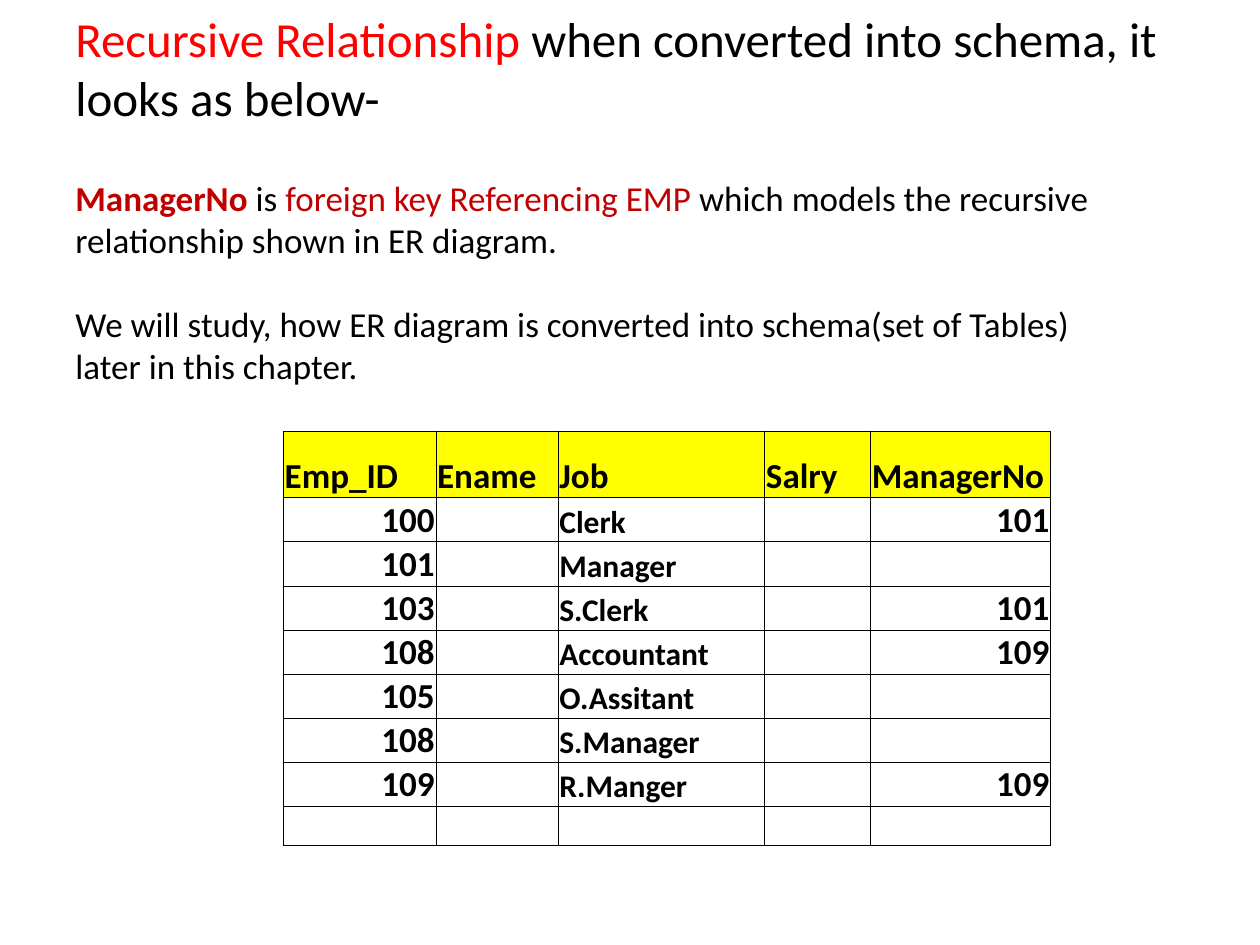
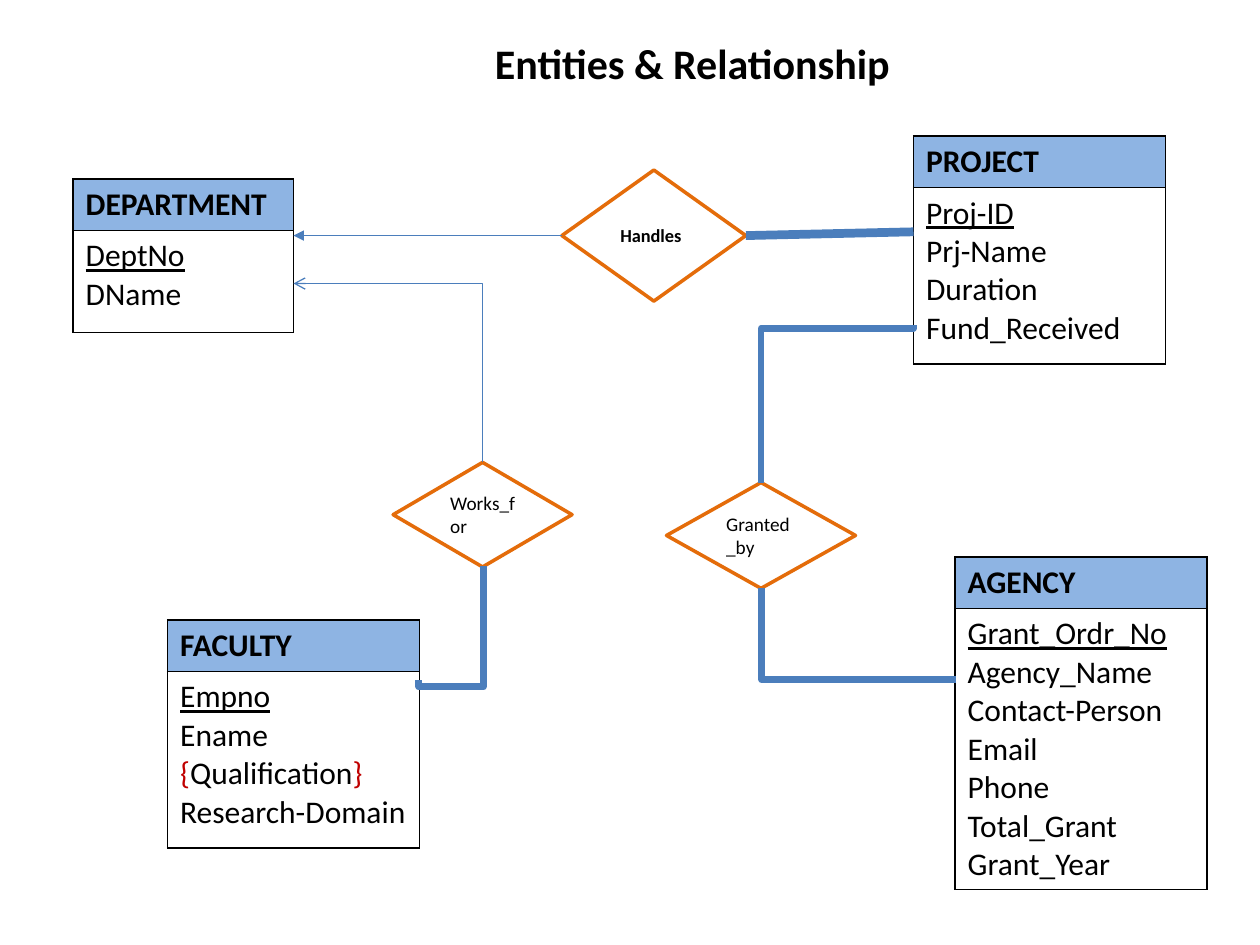
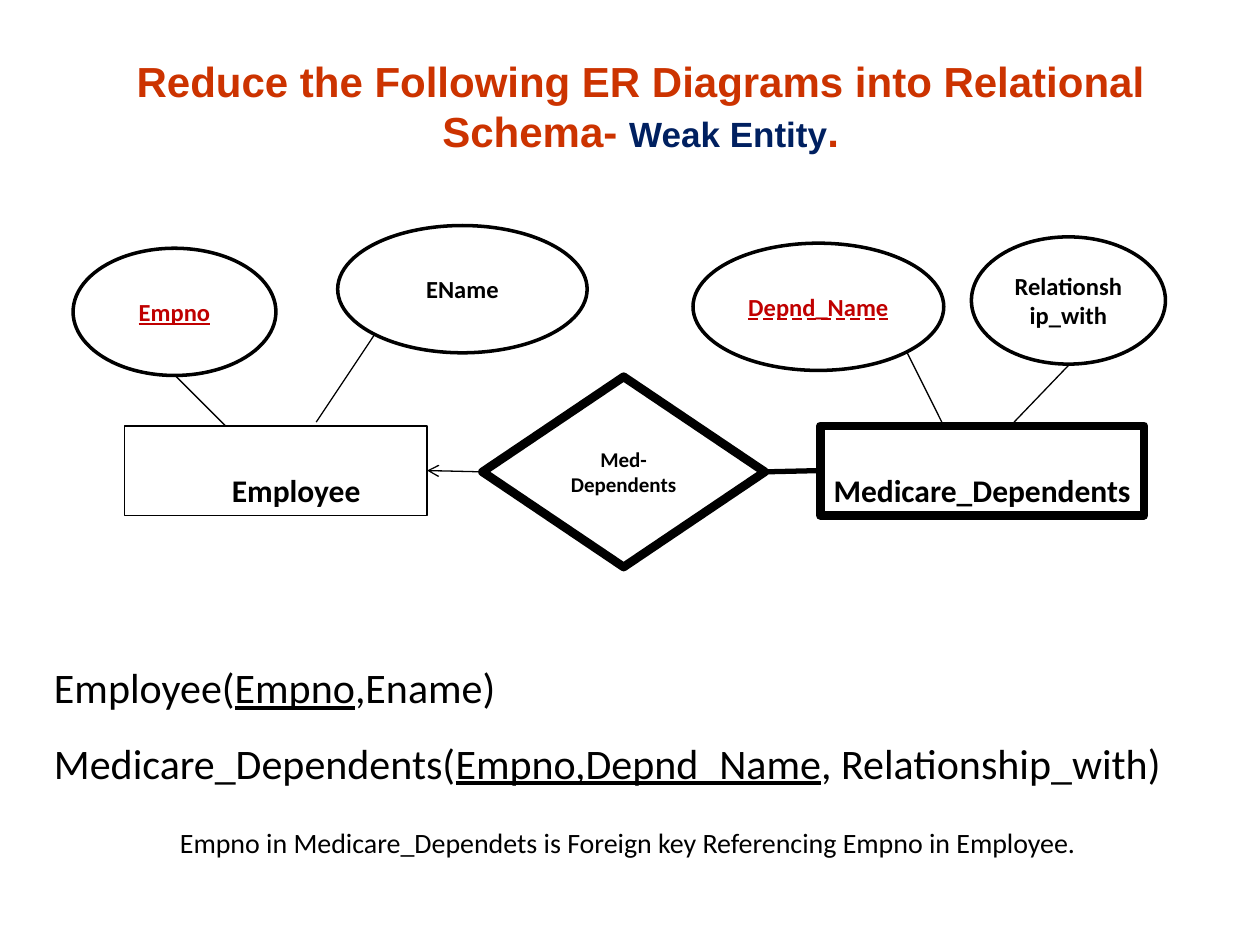
"""Builds three slides on entity-relationship diagrams and relational schemas."""
from lxml import etree
from pptx import Presentation
from pptx import util as u
from pptx.dml.color import RGBColor
from pptx.enum import shapes, text
from pptx.oxml.ns import qn

BLACK, WHITE, RED, DARK_RED = "000000", "FFFFFF", "FF0000", "C00000"
YELLOW, HEADER_BLUE, LINK_BLUE, ORANGE = "FFFF00", "8EB4E3", "4B7EBC", "E46C0A"
TITLE_RUST, NAVY = "CC3300", "002060"
CENTER, RIGHT = text.PP_ALIGN.CENTER, text.PP_ALIGN.RIGHT
TOP, MIDDLE, BOTTOM = text.MSO_ANCHOR.TOP, text.MSO_ANCHOR.MIDDLE, text.MSO_ANCHOR.BOTTOM
DASHED = text.MSO_UNDERLINE.DASH_LINE
SHAPE = shapes.MSO_SHAPE
LEFT_SIDE, RIGHT_SIDE = 1, 3

SCHEMA_TITLE = [[("Recursive Relationship ", {"color": RED}),
                 "when converted into schema, it looks as below-"]]
SCHEMA_NOTES = [
    [("ManagerNo", {"color": DARK_RED, "bold": True}), " is ",
     ("foreign key Referencing EMP ", {"color": DARK_RED}),
     "which models the recursive relationship shown in ER diagram."],
    ["We will study, how ER diagram is converted into schema(set of Tables) later in this chapter."],
]
EMPLOYEE_ROWS = [
    ("Emp_ID", "Ename", "Job", "Salry", "ManagerNo"),
    ("100", "", "Clerk", "", "101"),
    ("101", "", "Manager", "", ""),
    ("103", "", "S.Clerk", "", "101"),
    ("108", "", "Accountant", "", "109"),
    ("105", "", "O.Assitant", "", ""),
    ("108", "", "S.Manager", "", ""),
    ("109", "", "R.Manger", "", "109"),
    ("", "", "", "", ""),
]
EMPLOYEE_WIDTHS = [1.21, 0.97, 1.64, 0.84, 1.43]
EMPLOYEE_HEIGHTS = [0.53] + [0.35] * 7 + [0.29]

BRACES = {"color": DARK_RED}
ENTITIES = [
    ("DEPARTMENT", (0.58, 1.42, 1.75), 0.81, "DeptNo", [["DName"]]),
    ("FACULTY", (1.33, 4.92, 2), 1.4, "Empno",
     [["Ename"], [("{", BRACES), "Qualification", ("}", BRACES)], ["Research-Domain"]]),
    ("PROJECT", (7.25, 1.08, 2), 1.4, "Proj-ID",
     [["Prj-Name"], ["Duration"], ["Fund_Received"]]),
    ("AGENCY", (7.58, 4.42, 2), 2.23, "Grant_Ordr_No",
     [["Agency_Name"], ["Contact-Person"], ["Email"], ["Phone"], ["Total_Grant"], ["Grant_Year"]]),
]
RELATIONSHIPS = [
    ("Works_for", (3.12, 3.67, 1.42, 0.83), WHITE, {"size": 11}),
    ("Handles", (4.46, 1.35, 1.46, 1.04), WHITE, {"size": 10.5, "bold": True}),
    ("Granted_by", (5.29, 3.83, 1.5, 0.84), None, {"size": 11}),
]
ELBOWS = [
    {"box": (2.33, 2.25, 1.5, 1.42), "width": 0.75, "head": "arrow"},
    {"box": (3.13, 4.69, 0.9, 0.51), "width": 4, "turn": 90, "bend": 1.064},
    {"box": (6.02, 2.6, 1.25, 1.21), "width": 3.75, "turn": 90, "bend": 0.022},
    {"box": (6.45, 4.26, 0.73, 1.54), "width": 3.75, "turn": 270, "flip": True},
]

WEAK_TITLE = [["Reduce the Following ER Diagrams into Relational Schema- ",
               ("Weak Entity", {"size": 20, "color": NAVY}), "."]]
ATTRIBUTES = [
    ("Empno", (0.58, 1.97, 1.61, 1.01), {"color": DARK_RED, "underline": True}),
    ("EName", (2.68, 1.79, 1.98, 1.01), {}),
    ("Depnd_Name", (5.5, 1.93, 1.99, 1.01), {"color": DARK_RED, "underline": DASHED}),
    ("Relationship_with", (7.71, 1.88, 1.54, 1.01), {}),
]
ATTRIBUTE_LINES = [
    ((1.39, 2.98), (1.79, 3.38)), ((2.97, 2.66), (2.51, 3.35)),
    ((7.2, 2.8), (7.49, 3.38)), ((8.48, 2.9), (8.02, 3.38)),
]
KEY = {"underline": True}
RELATIONS = [
    ["Employee(", ("Empno", KEY), ",Ename)"],
    ["Medicare_Dependents(", ("Empno,Depnd_Name", KEY), ", Relationship_with)"],
    ["Empno in Medicare_Dependets is Foreign key Referencing Empno in Employee."],
]


def rgb(value):
    return RGBColor.from_string(value)


def style_font(font, size=None, color=None, bold=None, underline=None, name=None):
    if size:
        font.size = u.Pt(size)
    if color:
        font.color.rgb = rgb(color)
    if bold is not None:
        font.bold = bold
    if underline is not None:
        font.underline = underline
    if name:
        font.name = name


def write(frame, paragraphs, align=None, **base):
    base = {"name": "Calibri", "color": BLACK, **base}
    for index, runs in enumerate(paragraphs):
        paragraph = frame.add_paragraph() if index else frame.paragraphs[0]
        paragraph.alignment = align
        style_font(paragraph.font, **base)
        for item in runs:
            content, changes = (item, {}) if isinstance(item, str) else item
            run = paragraph.add_run()
            run.text = content
            style_font(run.font, **changes)


def add_text(slide, box, paragraphs, anchor=TOP, wrap=True, **base):
    frame = slide.shapes.add_textbox(*map(u.Inches, box)).text_frame
    frame.word_wrap = wrap
    frame.vertical_anchor = anchor
    write(frame, paragraphs, **base)
    return frame


def add_node(slide, kind, box, label, fill, line, width, anchor=MIDDLE, **base):
    shape = slide.shapes.add_shape(kind, *map(u.Inches, box))
    shape.shadow.inherit = False
    if fill:
        shape.fill.solid()
        shape.fill.fore_color.rgb = rgb(fill)
    else:
        shape.fill.background()
    shape.line.color.rgb = rgb(line)
    shape.line.width = u.Pt(width)
    shape.text_frame.word_wrap = True
    shape.text_frame.vertical_anchor = anchor
    write(shape.text_frame, [[label]], **base)
    return shape


def add_line(slide, start, end, color, width, head=None, tail=None,
             kind=shapes.MSO_CONNECTOR.STRAIGHT):
    connector = slide.shapes.add_connector(kind, *map(u.Inches, (*start, *end)))
    connector.line.color.rgb = rgb(color)
    connector.line.width = u.Pt(width)
    properties = connector._element.spPr
    outline = properties.find(qn("a:ln"))
    for tag, arrow in (("a:headEnd", head), ("a:tailEnd", tail)):
        if arrow:
            etree.SubElement(outline, qn(tag), type=arrow)
    etree.SubElement(properties, qn("a:effectLst"))
    return connector


def add_elbow(slide, box, width, head=None, turn=0, flip=False, bend=None):
    left, top, across, down = box
    connector = add_line(slide, (left, top), (left + across, top + down), LINK_BLUE, width,
                         head, kind=shapes.MSO_CONNECTOR.ELBOW)
    properties = connector._element.spPr
    frame = properties.find(qn("a:xfrm"))
    if turn:
        frame.set("rot", str(turn * 60000))
    if flip:
        frame.set("flipH", "1")
    geometry = properties.find(qn("a:prstGeom"))
    if bend is None:
        geometry.set("prst", "bentConnector2")
    else:
        guides = geometry.find(qn("a:avLst"))
        etree.SubElement(guides, qn("a:gd"), name="adj1", fmla=f"val {round(bend * 100000)}")


def add_grid(slide, left, top, widths, heights):
    size = map(u.Inches, (left, top, sum(widths), sum(heights)))
    table = slide.shapes.add_table(len(heights), len(widths), *size).table
    table.first_row = table.horz_banding = False
    for column, width in zip(table.columns, widths):
        column.width = u.Inches(width)
    for row, height in zip(table.rows, heights):
        row.height = u.Inches(height)
    return table


def style_cell(cell, fill, border):
    properties = cell._tc.get_or_add_tcPr()
    for side in ("a:lnL", "a:lnR", "a:lnT", "a:lnB"):
        line = etree.SubElement(properties, qn(side), w=str(u.Pt(border)))
        solid = etree.SubElement(line, qn("a:solidFill"))
        etree.SubElement(solid, qn("a:srgbClr"), val=BLACK)
    if fill:
        cell.fill.solid()
        cell.fill.fore_color.rgb = rgb(fill)
    else:
        cell.fill.background()


def add_entity(slide, name, place, body_height, key, attributes):
    left, top, width = place
    table = add_grid(slide, left, top, [width], [0.41, body_height])
    header, body = table.cell(0, 0), table.cell(1, 0)
    style_cell(header, HEADER_BLUE, 1)
    style_cell(body, None, 1)
    write(header.text_frame, [[name]], size=18, bold=True)
    write(body.text_frame, [[(key, KEY)]] + attributes, size=18)


def build_schema_slide(slide):
    title = add_text(slide, (0.5, 0.05, 9, 1.2), SCHEMA_TITLE, size=28)
    title.margin_top = u.Inches(0.02)
    table = add_grid(slide, 2.25, 3.42, EMPLOYEE_WIDTHS, EMPLOYEE_HEIGHTS)
    for row, values in enumerate(EMPLOYEE_ROWS):
        for column, value in enumerate(values):
            cell = table.cell(row, column)
            style_cell(cell, None if row else YELLOW, 0.5)
            cell.margin_left = cell.margin_right = cell.margin_top = u.Inches(0.01)
            cell.margin_bottom = 0
            cell.vertical_anchor = BOTTOM
            write(cell.text_frame, [[value]] if value else [[]],
                  align=RIGHT if value.isdigit() else None,
                  size=20 if row == 0 or value.isdigit() else 18, bold=True)
    notes = add_text(slide, (0.5, 1.35, 8.67, 1.78), SCHEMA_NOTES, size=20)
    notes.paragraphs[0].space_after = u.Pt(24)


def build_entities_slide(slide):
    for entity in ENTITIES:
        add_entity(slide, *entity)
    add_text(slide, (3.83, 0.25, 3.38, 0.5), [["Entities & Relationship"]],
             wrap=False, size=24, bold=True)
    diamonds = {}
    for label, box, fill, font in RELATIONSHIPS:
        diamonds[label] = add_node(slide, SHAPE.FLOWCHART_DECISION, box, label, fill,
                                   ORANGE, 2, **font)
    for elbow in ELBOWS:
        add_elbow(slide, **elbow)
    to_department = add_line(slide, (4.46, 1.87), (2.33, 1.87), LINK_BLUE, 0.75, tail="triangle")
    to_department.begin_connect(diamonds["Handles"], LEFT_SIDE)
    to_project = add_line(slide, (5.92, 1.87), (7.25, 1.84), LINK_BLUE, 5)
    to_project.begin_connect(diamonds["Handles"], RIGHT_SIDE)


def build_weak_entity_slide(slide):
    label = {"align": CENTER, "bold": True}
    employee = add_node(slide, SHAPE.RECTANGLE, (0.99, 3.38, 2.4, 0.71), "Employee",
                        None, BLACK, 0.75, BOTTOM, size=18, **label)
    employee.text_frame.margin_left = u.Inches(0.42)
    dependents = add_node(slide, SHAPE.RECTANGLE, (6.51, 3.38, 2.57, 0.71),
                          "Medicare_Dependents", None, BLACK, 5, BOTTOM, size=18, **label)
    dependents.text_frame.margin_left = dependents.text_frame.margin_right = u.Inches(0.05)
    diamond = add_node(slide, SHAPE.DIAMOND, (3.83, 2.99, 2.24, 1.51), "Med-Dependents",
                       WHITE, BLACK, 5, size=12, **label)
    to_diamond = add_line(slide, (3.39, 3.73), (3.83, 3.75), BLACK, 0.75, head="arrow")
    to_diamond.begin_connect(employee, RIGHT_SIDE)
    to_diamond.end_connect(diamond, LEFT_SIDE)
    to_dependents = add_line(slide, (6.07, 3.75), (6.51, 3.73), BLACK, 3)
    to_dependents.begin_connect(diamond, RIGHT_SIDE)
    to_dependents.end_connect(dependents, LEFT_SIDE)
    for name, box, font in ATTRIBUTES:
        add_node(slide, SHAPE.OVAL, box, name, WHITE, BLACK, 2, size=14, **label, **font)
    for start, end in ATTRIBUTE_LINES:
        add_line(slide, start, end, BLACK, 0.75)
    add_text(slide, (0.92, 0.25, 8.33, 1.18), WEAK_TITLE, MIDDLE,
             size=24, color=TITLE_RUST, name="Arial", **label)
    relations = add_text(slide, (0.33, 5, 9.92, 1.92), RELATIONS, size=24)
    for paragraph in relations.paragraphs:
        paragraph.line_spacing = 1.5
    footnote = relations.paragraphs[-1]
    footnote.font.size = u.Pt(16)
    footnote.space_before = u.Pt(12)
    footnote._p.get_or_add_pPr().set("marL", str(u.Inches(1)))


def main():
    presentation = Presentation()
    presentation.slide_width, presentation.slide_height = u.Inches(10), u.Inches(7.5)
    for build in (build_schema_slide, build_entities_slide, build_weak_entity_slide):
        build(presentation.slides.add_slide(presentation.slide_layouts[6]))
    presentation.save("out.pptx")


if __name__ == "__main__":
    main()
